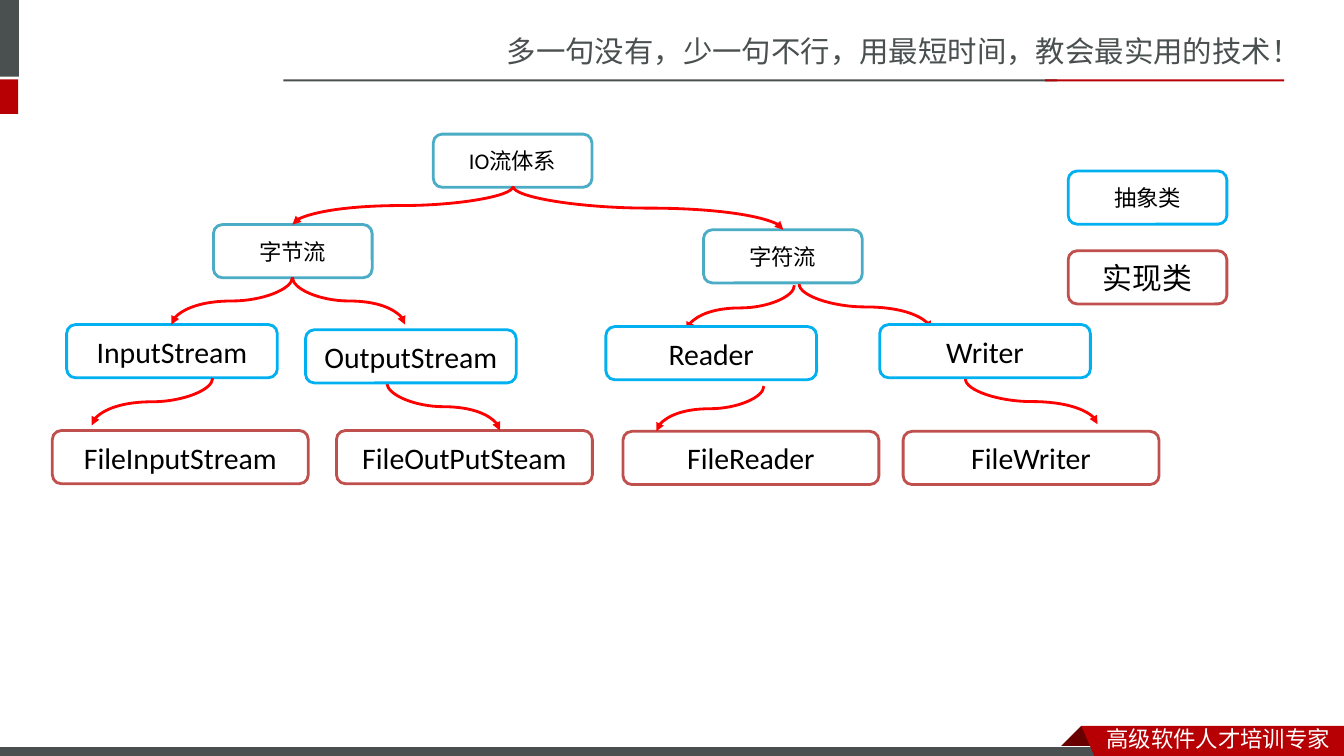
from lxml import etree
from pptx import Presentation
from pptx.dml.color import RGBColor
from pptx.enum.shapes import MSO_CONNECTOR, MSO_SHAPE
from pptx.enum.text import MSO_ANCHOR, PP_ALIGN
from pptx.oxml.ns import qn
from pptx.util import Cm, Pt

RECT, ROUND = MSO_SHAPE.RECTANGLE, MSO_SHAPE.ROUNDED_RECTANGLE
CURVE = MSO_CONNECTOR.CURVE
MIDDLE, CENTER = MSO_ANCHOR.MIDDLE, PP_ALIGN.CENTER

LATIN, CJK = "Calibri", "Noto Sans CJK SC"
COLORS = {
    "white": "FFFFFF", "black": "000000", "gray": "49504F", "red": "B60004",
    "dark_red": "680000", "category": "4BACC6", "abstract": "00B0F0",
    "concrete": "C0504D", "arrow": "FF0000",
}
SLIDE_W, SLIDE_H = 33.87, 19.05

# Tree nodes: text, kind, left, top, width, size; the front ones cover arrowheads
BACK_NODES = [
    ("IO流体系", "category", 9.6, 0, 4, 16),
    ("字节流", "category", 4.06, 2.28, 4, 16),
    ("字符流", "category", 16.41, 2.41, 4, 16),
    ("InputStream", "abstract", 0.36, 4.8, 5.31, 21.3),
    ("FileInputStream", "concrete", 0, 7.47, 6.45, 21.3),
    ("FileOutPutSteam", "concrete", 7.16, 7.47, 6.45, 21.3),
    ("FileReader", "concrete", 14.38, 7.49, 6.45, 21.3),
    ("FileWriter", "concrete", 21.44, 7.49, 6.45, 21.3),
]
FRONT_NODES = [
    ("OutputStream", "abstract", 6.38, 4.93, 5.31, 21.3),
    ("Reader", "abstract", 13.95, 4.85, 5.31, 21.3),
    ("Writer", "abstract", 20.85, 4.8, 5.31, 21.3),
]
ARROWS = [
    (11.61, 1.32, 6.05, 2.28), (11.61, 1.32, 18.42, 2.41),
    (6.05, 3.61, 3, 4.8), (6.05, 3.61, 8.89, 4.8),
    (18.7, 3.81, 15.98, 4.95), (18.82, 3.78, 22.15, 4.93),
    (4.04, 6.15, 0.99, 7.34), (8.43, 6.27, 11.28, 7.47),
    (17.93, 6.35, 15.22, 7.49), (23.01, 6.17, 26.34, 7.31),
]


def rgb(name):
    return RGBColor.from_string(COLORS[name])


def add_run(p, text, size, color, font):
    r = p.add_run()
    r.text = text
    r.font.size = Pt(size)
    r.font.name = font
    r.font.color.rgb = rgb(color)
    etree.SubElement(r.font._element, qn("a:ea")).set("typeface", CJK)


def paint(sp, fill, line=None, weight=0.75):
    sp.shadow.inherit = False
    sp.fill.solid()
    sp.fill.fore_color.rgb = rgb(fill)
    if line:
        sp.line.color.rgb = rgb(line)
        sp.line.width = Pt(weight)
    else:
        sp.line.fill.background()


def add_bar(slide, x, y, w, h, fill, line=None):
    sp = slide.shapes.add_shape(RECT, Cm(x), Cm(y), Cm(w), Cm(h))
    paint(sp, fill, line)


def add_polygon(slide, points, fill):
    pts = [(Cm(x), Cm(y)) for x, y in points]
    fb = slide.shapes.build_freeform(*pts[0])
    fb.add_line_segments(pts[1:], close=True)
    paint(fb.convert_to_shape(), fill)


def add_label(slide, x, y, w, h, text, size, color):
    tf = slide.shapes.add_textbox(Cm(x), Cm(y), Cm(w), Cm(h)).text_frame
    tf.word_wrap = False
    add_run(tf.paragraphs[0], text, size, color, CJK)


def add_node(slide, x, y, w, text, kind, size):
    sp = slide.shapes.add_shape(ROUND, Cm(x), Cm(y), Cm(w), Cm(1.34))
    paint(sp, "white", kind, 2)
    tf = sp.text_frame
    tf.word_wrap = True
    tf.vertical_anchor = MIDDLE
    p = tf.paragraphs[0]
    p.alignment = CENTER
    add_run(p, text, size, "black", LATIN)


def add_arrow(slide, x1, y1, x2, y2):
    """Curved arrow that leaves and arrives vertically: a quarter-turned S."""
    cx, cy = (x1 + x2) / 2, (y1 + y2) / 2
    side = 1 if x2 > x1 else -1
    half_w, half_h = side * (y2 - y1) / 2, abs(x2 - x1) / 2
    c = slide.shapes.add_connector(CURVE, Cm(cx + half_w), Cm(cy - half_h),
                                   Cm(cx - half_w), Cm(cy + half_h))
    c.line.color.rgb = rgb("arrow")
    c.line.width = Pt(2)
    sp_pr = c._element.spPr
    sp_pr.find(qn("a:xfrm")).set("rot", str((270 if side > 0 else 90) * 60000))
    etree.SubElement(sp_pr.find(qn("a:ln")), qn("a:tailEnd")).set("type", "triangle")
    etree.SubElement(sp_pr, qn("a:effectLst"))


def add_header(slide, x, y):
    add_label(slide, x + 12.52, y + 0.71, 21.35, 1.19,
              "多一句没有，少一句不行，用最短时间，教会最实用的技术！", 21, "gray")
    add_bar(slide, x, y, 0.48, 1.93, "gray")
    add_bar(slide, x, y + 2, 0.46, 0.87, "red")
    add_bar(slide, x + 7.14, y + 2, 19.5, 0.05, "gray")
    add_bar(slide, x + 26.34, y + 2, 6.02, 0.05, "red")


def add_footer(slide, x, y, w, h):
    fold, right, bottom = x + 27.25, x + w, y + h
    add_polygon(slide, [(fold, y), (fold + 0.56, y + 0.56), (fold + 0.53, y + 0.58),
                        (fold - 0.53, y + 0.58), (fold - 0.56, y + 0.56)], "dark_red")
    add_bar(slide, x, y + 0.53, 27.9, 0.3, "gray", "white")
    add_polygon(slide, [(fold, y), (right, y), (right, bottom), (fold + 0.33, bottom)], "red")
    add_label(slide, x + 27.64, y - 0.13, 6.22, 0.94, "高级软件人才培训专家", 16, "white")


def add_tree(slide, x, y):
    def add_nodes(nodes):
        for text, kind, dx, dy, w, size in nodes:
            add_node(slide, x + dx, y + dy, w, text, kind, size)

    add_nodes(BACK_NODES)
    for x1, y1, x2, y2 in ARROWS:
        add_arrow(slide, x + x1, y + y1, x + x2, y + y2)
    add_nodes(FRONT_NODES)


def add_legend(slide, x, y):
    add_node(slide, x, y, 4, "抽象类", "abstract", 16)
    add_node(slide, x, y + 2.01, 4, "实现类", "concrete", 21.3)


def main():
    prs = Presentation()
    prs.slide_width, prs.slide_height = Cm(SLIDE_W), Cm(SLIDE_H)
    slide = prs.slides.add_slide(prs.slide_layouts[6])
    add_header(slide, 0, 0)
    add_footer(slide, 0, 18.29, SLIDE_W, 0.76)
    add_tree(slide, 1.32, 3.38)
    add_legend(slide, 26.92, 4.31)
    prs.save("out.pptx")


if __name__ == "__main__":
    main()
